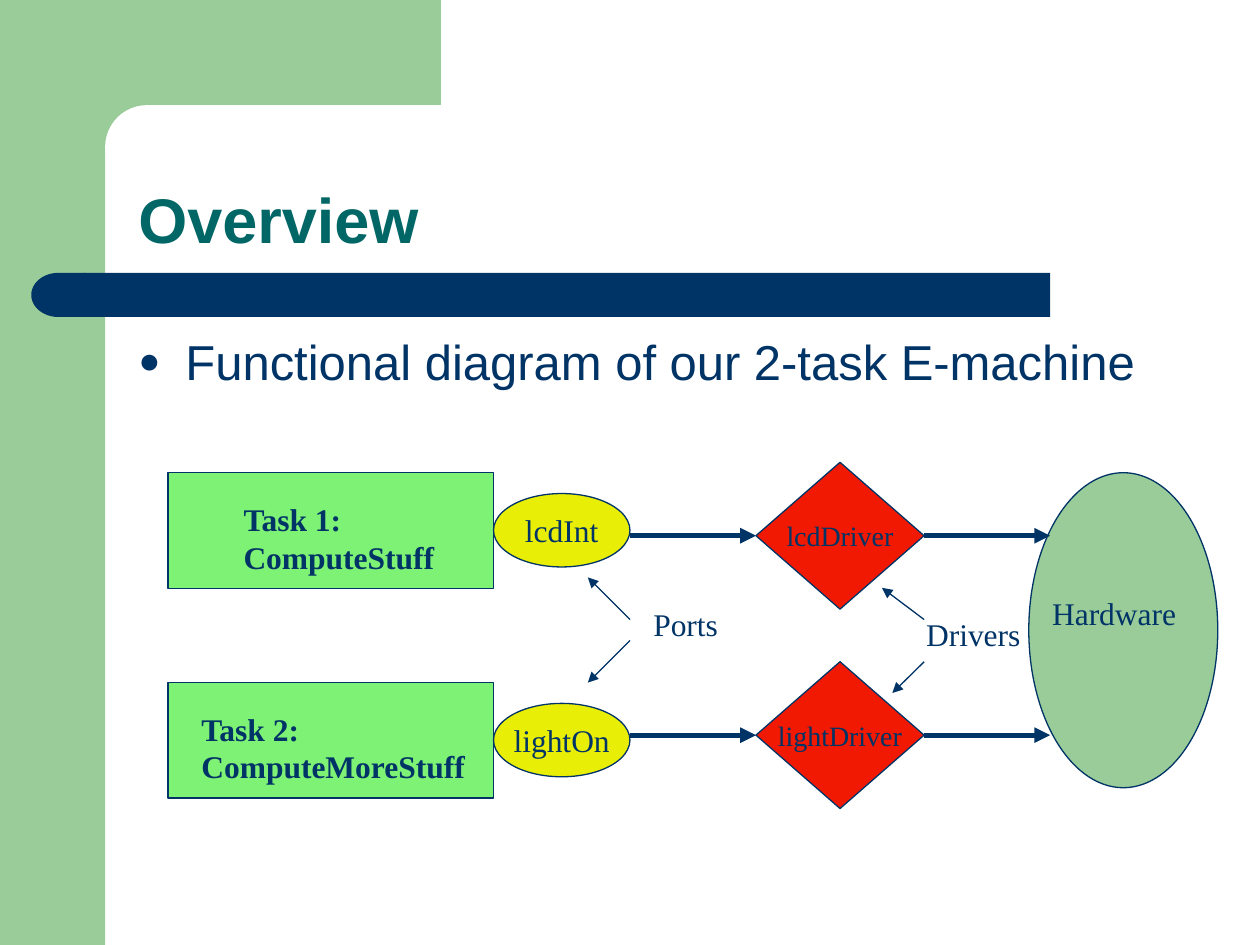
from lxml.etree import SubElement
from pptx import Presentation
from pptx.dml.color import RGBColor
from pptx.enum.shapes import MSO_CONNECTOR as Link, MSO_SHAPE as Form
from pptx.enum.text import MSO_ANCHOR as Anchor, PP_ALIGN as Align
from pptx.oxml.ns import qn
from pptx.util import Cm, Pt

NAVY = RGBColor(0x00, 0x33, 0x66)
TEAL = RGBColor(0x00, 0x66, 0x66)
SAGE = RGBColor(0x99, 0xCC, 0x99)
WHITE = RGBColor(0xFF, 0xFF, 0xFF)
GREEN = RGBColor(0x7D, 0xF2, 0x74)
YELLOW = RGBColor(0xE8, 0xEE, 0x06)
RED = RGBColor(0xF2, 0x19, 0x02)

SERIF = {"name": "Times New Roman", "size": Pt(18), "bold": False}
SMALL = {**SERIF, "size": Pt(16)}
STRONG = {**SERIF, "bold": True}
HEADING = {"name": "Arial", "size": Pt(36), "bold": True}
BODY = {"name": "Arial", "size": Pt(28), "bold": False}
SPACED = {"space_before": Pt(11.2)}

BACKDROP = [
    (Form.RECTANGLE, (0, 0, 2.12, 19.05), SAGE),
    (Form.RECTANGLE, (1.9, 0, 6.99, 2.96), SAGE),
    (Form.ROUNDED_RECTANGLE, (2.12, 2.12, 14.18, 1.69), WHITE),
    (Form.RECTANGLE, (1.69, 5.5, 19.48, 0.89), NAVY),
]
BAR_CAP = (0.63, 5.5, 1.09, 0.89)
TITLE = ("Overview", (2.54, 2.12, 22.22, 3.18))
BULLET = ("Functional diagram of our 2-task E-machine", (2.54, 6.56, 22.22, 2.33))

ROWS = [
    {"task": "Task 1: ComputeStuff", "label": (4.66, 4.45),
     "port": "lcdInt", "driver": "lcdDriver"},
    {"task": "Task 2: ComputeMoreStuff", "label": (3.81, 5.93),
     "port": "lightOn", "driver": "lightDriver"},
]
TASK_STEP, DRIVER_STEP = 4.23, 4.02
FLOW_TOP = 10.8
PORT_RIGHT, HARDWARE_REACH = 12.7, 21.17

CAPTIONS = [
    ("Ports", (12.92, 12.07, 2.1, 1.02), {}),
    ("Drivers", (18.42, 12.28, 2.6, 1.02), {}),
    ("Hardware", (20.96, 11.85, 3.39, 1.02), SPACED),
]
POINTERS = [
    (12.7, 12.49, 11.85, 11.64),
    (12.7, 12.91, 11.85, 13.76),
    (18.63, 12.49, 17.78, 11.85),
    (18.63, 13.34, 17.99, 13.97),
]

deck = Presentation()
deck.slide_width, deck.slide_height = Cm(25.4), Cm(19.05)
page = deck.slides.add_slide(deck.slide_layouts[6])


def apply(target, values):
    for name, value in values.items():
        setattr(target, name, value)


def write(box, text, font, color=NAVY, frame_format=None, para_format=None):
    frame = box.text_frame
    apply(frame, frame_format or {})
    para = frame.paragraphs[0]
    apply(para, para_format or {})
    span = para.add_run()
    span.text = text
    apply(span.font, font)
    span.font.color.rgb = color
    return para


def add_form(form, place, fill, outlined=True):
    shape = page.shapes.add_shape(form, *map(Cm, place))
    shape.shadow.inherit = False
    shape.fill.solid()
    shape.fill.fore_color.rgb = fill
    if outlined:
        shape.line.color.rgb = NAVY
        shape.line.width = Pt(0.75)
    else:
        shape.line.fill.background()
    return shape


def add_node(form, place, fill, text, font):
    node = add_form(form, place, fill)
    write(node, text, font,
          frame_format={"word_wrap": False, "vertical_anchor": Anchor.MIDDLE},
          para_format={"alignment": Align.CENTER})
    return node


def add_text(text, place, font, color=NAVY, anchor=Anchor.TOP, para_format=None):
    box = page.shapes.add_textbox(*map(Cm, place))
    return write(box, text, font, color,
                 {"word_wrap": True, "vertical_anchor": anchor}, para_format)


def add_arrow(ends, width):
    arrow = page.shapes.add_connector(Link.STRAIGHT, *map(Cm, ends))
    arrow.line.color.rgb = NAVY
    arrow.line.width = Pt(width)
    SubElement(arrow.line._get_or_add_ln(), qn("a:tailEnd"), type="triangle")
    SubElement(arrow._element.spPr, qn("a:effectLst"))
    return arrow


def add_bullet(para):
    props = para._p.get_or_add_pPr()
    props.set("marL", str(Cm(0.95)))
    props.set("indent", str(-Cm(0.95)))
    SubElement(SubElement(props, qn("a:buClr")), qn("a:srgbClr"), val=str(NAVY))
    SubElement(props, qn("a:buSzPct"), val="75000")
    SubElement(props, qn("a:buFont"), typeface="Arial")
    SubElement(props, qn("a:buChar"), char="●")


for form, place, fill in BACKDROP:
    panel = add_form(form, place, fill, outlined=False)
    if form == Form.ROUNDED_RECTANGLE:
        panel.adjustments[0] = 0.5
cap = add_form(Form.FLOWCHART_DELAY, BAR_CAP, NAVY, outlined=False)
cap.rotation = 180

add_text(*TITLE, HEADING, TEAL, Anchor.BOTTOM, {"line_spacing": 0.9})
add_bullet(add_text(*BULLET, BODY, para_format={"space_before": Pt(7)}))

add_form(Form.OVAL, (20.74, 9.53, 3.81, 6.35), SAGE)

for index, row in enumerate(ROWS):
    drop = index * TASK_STEP
    flow = FLOW_TOP + index * DRIVER_STEP
    add_form(Form.RECTANGLE, (3.39, 9.53 + drop, 6.56, 2.33), GREEN)
    left, width = row["label"]
    add_text(row["task"], (left, 9.95 + drop, width, 1.78), STRONG, para_format=SPACED)
    add_node(Form.OVAL, (9.95, 9.95 + drop, 2.75, 1.48), YELLOW, row["port"], SERIF)
    driver = add_node(Form.FLOWCHART_DECISION, (15.24, flow - 1.48, 3.39, 2.96),
                      RED, row["driver"], SMALL)
    add_arrow((PORT_RIGHT, flow, 15.24, flow), 3).end_connect(driver, 1)
    add_arrow((18.63, flow, HARDWARE_REACH, flow), 3).begin_connect(driver, 3)

for text, place, para_format in CAPTIONS:
    add_text(text, place, SERIF, para_format=para_format)
for ends in POINTERS:
    add_arrow(ends, 0.75)

deck.save("out.pptx")
